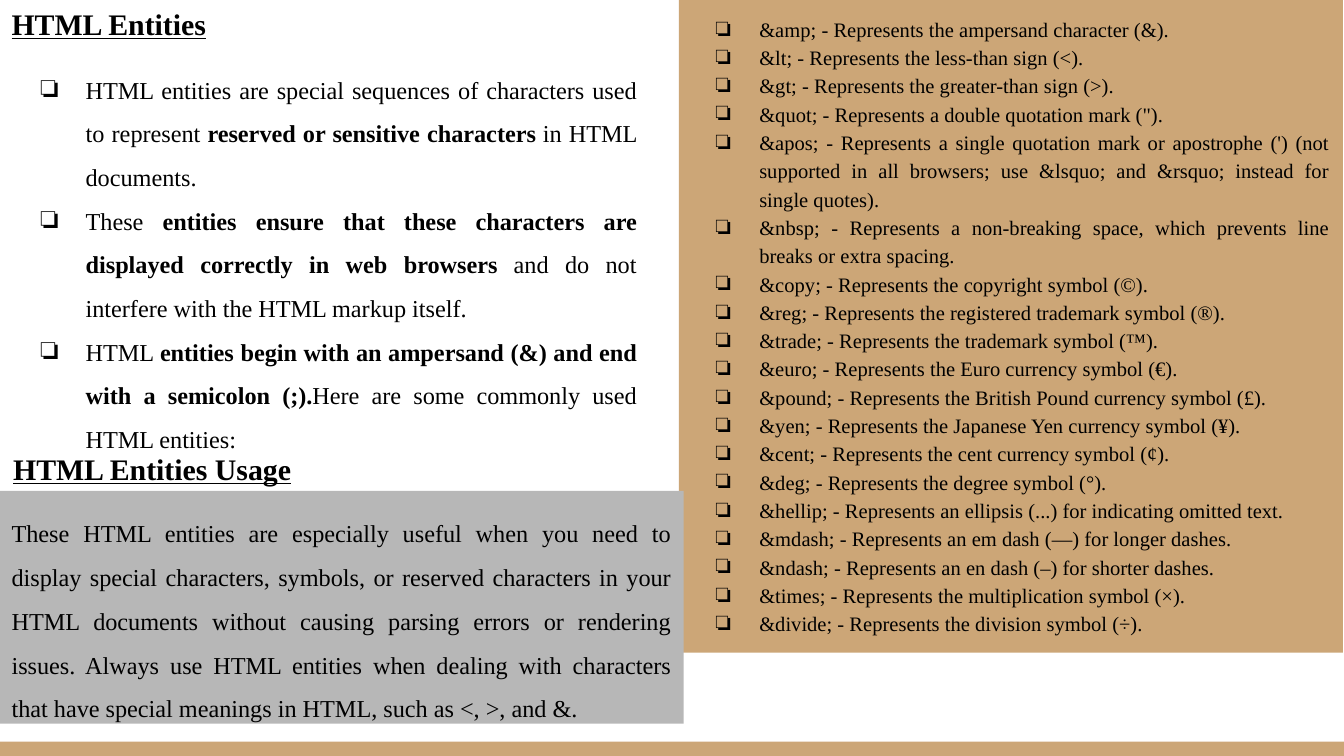
from dataclasses import dataclass

from lxml import etree
from pptx import Presentation
from pptx.dml.color import RGBColor
from pptx.enum.shapes import MSO_SHAPE
from pptx.enum.text import MSO_ANCHOR, MSO_AUTO_SIZE, PP_ALIGN
from pptx.oxml.ns import qn
from pptx.util import Cm, Pt

RECTANGLE = MSO_SHAPE.RECTANGLE
TOP = MSO_ANCHOR.TOP
NO_AUTOFIT = MSO_AUTO_SIZE.NONE
LEFT, JUSTIFY = PP_ALIGN.LEFT, PP_ALIGN.JUSTIFY

FONT = "Times New Roman"
BLACK, TAN, GRAY = "000000", "CCA677", "B7B7B7"
BOLD_MARK = "**"

INTRODUCTION = [
    "HTML entities are special sequences of characters used to represent "
    "**reserved or sensitive characters **in HTML documents.",
    "These **entities ensure that these characters are displayed correctly "
    "in web browsers** and do not interfere with the HTML markup itself.",
    "HTML **entities begin with an ampersand (&) and end with a semicolon (;).**"
    "Here are some commonly used HTML entities:",
]
ENTITIES = {
    "amp": "the ampersand character (&).",
    "lt": "the less-than sign (<).",
    "gt": "the greater-than sign (>).",
    "quot": 'a double quotation mark (").',
    "apos": "a single quotation mark or apostrophe (') (not supported in all "
            "browsers; use &lsquo; and &rsquo; instead for single quotes).",
    "nbsp": "a non-breaking space, which prevents line breaks or extra spacing.",
    "copy": "the copyright symbol (©).",
    "reg": "the registered trademark symbol (®).",
    "trade": "the trademark symbol (™).",
    "euro": "the Euro currency symbol (€).",
    "pound": "the British Pound currency symbol (£).",
    "yen": "the Japanese Yen currency symbol (¥).",
    "cent": "the cent currency symbol (¢).",
    "deg": "the degree symbol (°).",
    "hellip": "an ellipsis (...) for indicating omitted text.",
    "mdash": "an em dash (—) for longer dashes.",
    "ndash": "an en dash (–) for shorter dashes.",
    "times": "the multiplication symbol (×).",
    "divide": "the division symbol (÷).",
}
USAGE = (
    "These HTML entities are especially useful when you need to display special "
    "characters, symbols, or reserved characters in your HTML documents without "
    "causing parsing errors or rendering issues. Always use HTML entities when "
    "dealing with characters that have special meanings in HTML, such as <, >, and &."
)


@dataclass
class Box:
    """Position and size in centimetres."""
    left: float
    top: float
    width: float
    height: float

    def lengths(self) -> tuple:
        return Cm(self.left), Cm(self.top), Cm(self.width), Cm(self.height)


@dataclass
class TextStyle:
    size: float
    alignment: PP_ALIGN = JUSTIFY
    line_spacing: float = 1.0
    hanging: float = 0  # centimetres; a positive value adds a bullet
    heading: bool = False


HEADING = TextStyle(16, LEFT, heading=True)
INTRODUCTION_STYLE = TextStyle(13, line_spacing=1.5, hanging=0.86)
ENTITY_STYLE = TextStyle(11, line_spacing=1.15, hanging=0.83)
USAGE_STYLE = TextStyle(13, line_spacing=1.5)


def color(value: str) -> RGBColor:
    return RGBColor.from_string(value)


def add_bullet(paragraph, hanging: float) -> None:
    properties = paragraph._p.get_or_add_pPr()
    properties.set("marL", str(Cm(1.27)))
    properties.set("indent", str(-Cm(hanging)))
    bullet_color = etree.SubElement(properties, qn("a:buClr"))
    etree.SubElement(bullet_color, qn("a:srgbClr"), val=BLACK)
    etree.SubElement(properties, qn("a:buFont"), typeface=FONT)
    etree.SubElement(properties, qn("a:buChar"), char="❏")


def write_text(shape, texts: list[str], style: TextStyle) -> None:
    """Write one paragraph per text; marked stretches become bold."""
    text_frame = shape.text_frame
    text_frame.word_wrap = True
    text_frame.auto_size = NO_AUTOFIT
    text_frame.vertical_anchor = TOP
    text_frame.margin_left = text_frame.margin_right = Cm(0.25)
    text_frame.margin_top = text_frame.margin_bottom = Cm(0.25)
    for index, text in enumerate(texts):
        paragraph = text_frame.add_paragraph() if index else text_frame.paragraphs[0]
        if style.hanging:
            add_bullet(paragraph, style.hanging)
        paragraph.alignment = style.alignment
        paragraph.line_spacing = style.line_spacing
        for part_index, part in enumerate(text.split(BOLD_MARK)):
            run = paragraph.add_run()
            run.text = part
            run.font.name = FONT
            run.font.size = Pt(style.size)
            run.font.color.rgb = color(BLACK)
            run.font.bold = style.heading or part_index % 2 == 1
            run.font.underline = style.heading


def add_panel(slide, box: Box, fill: str):
    panel = slide.shapes.add_shape(RECTANGLE, *box.lengths())
    panel.shadow.inherit = False
    panel.fill.solid()
    panel.fill.fore_color.rgb = color(fill)
    panel.line.fill.background()
    return panel


def main() -> None:
    presentation = Presentation()
    presentation.slide_width, presentation.slide_height = Cm(25.4), Cm(14.29)
    slide = presentation.slides.add_slide(presentation.slide_layouts[5])

    # Bottom band
    add_panel(slide, Box(0, 14.02, 25.4, 0.27), TAN)

    # Title and introduction
    title = slide.shapes.title
    title.left, title.top, title.width, title.height = Box(-0.03, -0.15, 12, 1.2).lengths()
    write_text(title, ["HTML Entities"], HEADING)
    introduction = slide.shapes.add_textbox(*Box(0.1, 0.89, 12.18, 7.75).lengths())
    write_text(introduction, INTRODUCTION, INTRODUCTION_STYLE)

    # List of entities
    entity_panel = add_panel(slide, Box(12.83, 0, 12.55, 12.34), TAN)
    entity_lines = [f"&{name}; - Represents {meaning}" for name, meaning in ENTITIES.items()]
    write_text(entity_panel, entity_lines, ENTITY_STYLE)

    # Usage
    usage_heading = slide.shapes.add_textbox(*Box(0, 8.26, 12, 1.2).lengths())
    write_text(usage_heading, ["HTML Entities Usage"], HEADING)
    usage_panel = add_panel(slide, Box(-0.03, 9.28, 12.95, 4.4), GRAY)
    write_text(usage_panel, [USAGE], USAGE_STYLE)

    presentation.save("out.pptx")


if __name__ == "__main__":
    main()
